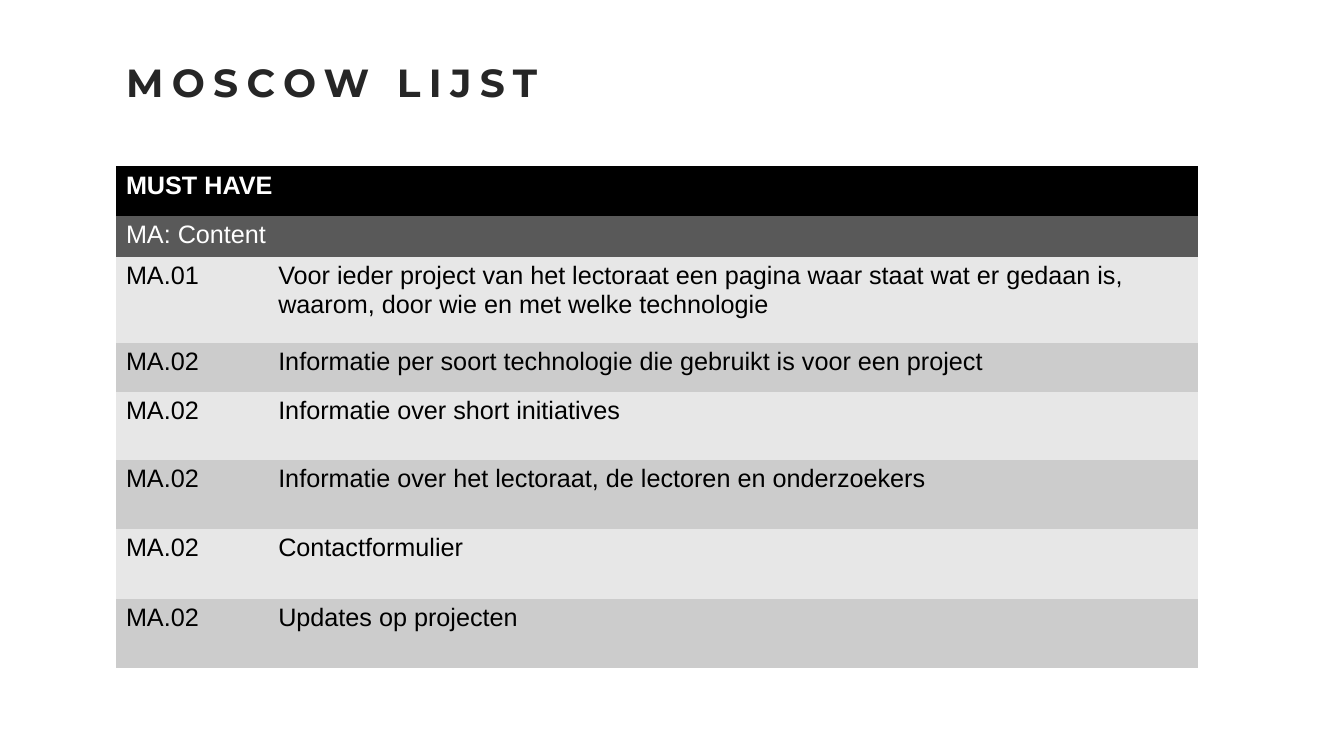
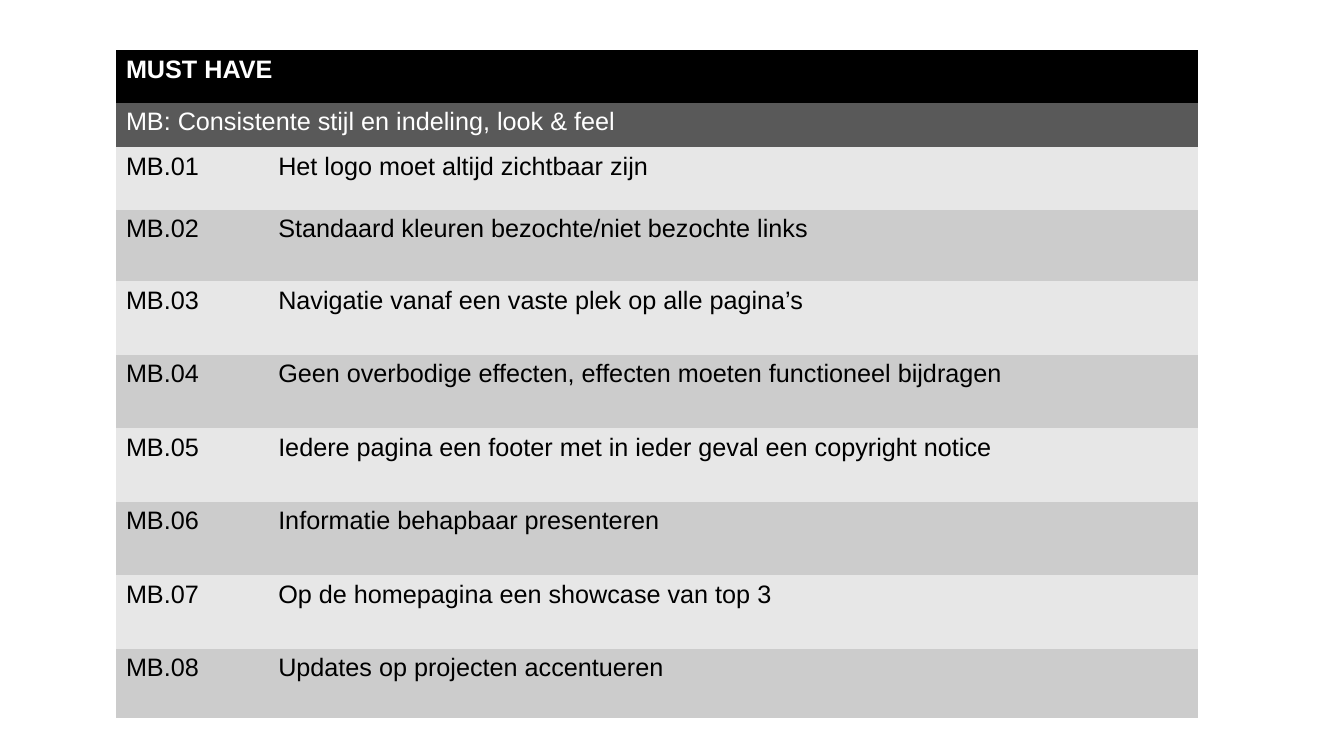
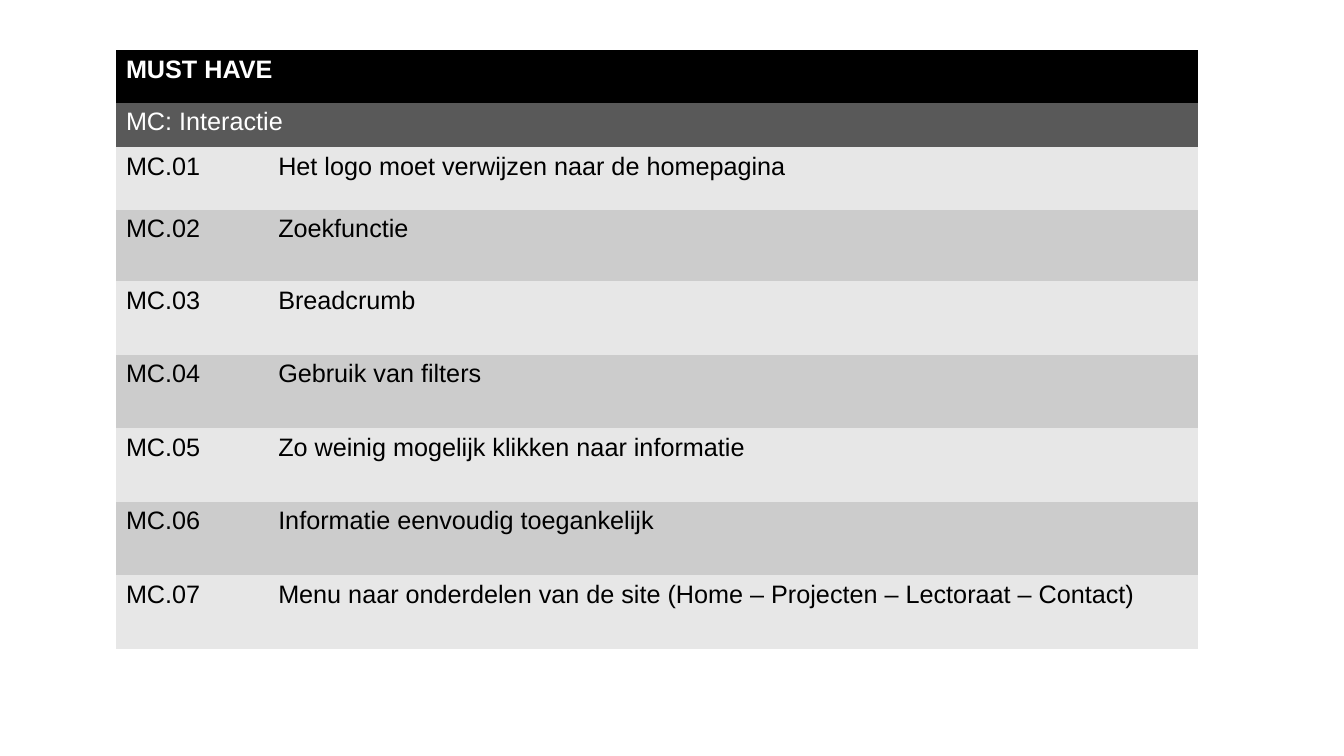
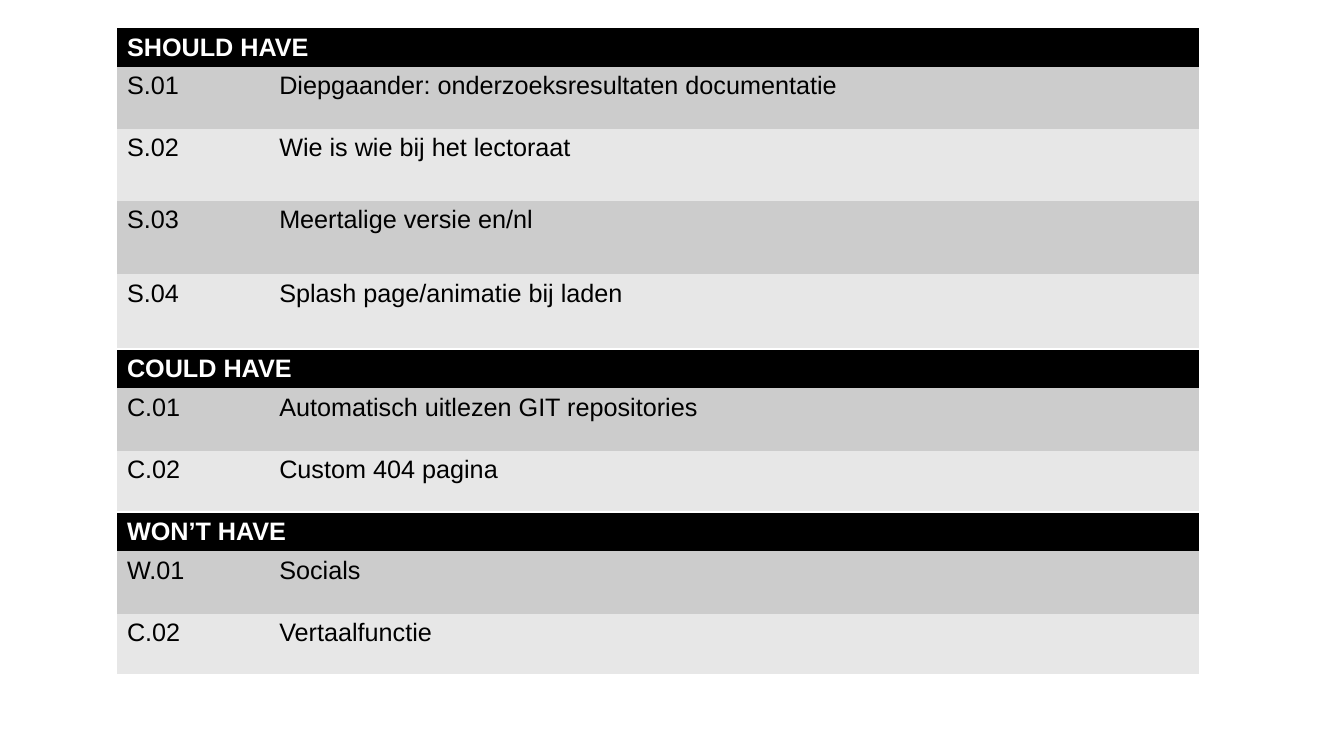
from dataclasses import dataclass

from pptx import Presentation
from pptx.dml.color import RGBColor
from pptx.enum.text import MSO_ANCHOR, MSO_AUTO_SIZE, PP_ALIGN
from pptx.oxml.ns import qn
from pptx.util import Inches, Pt

BLACK = RGBColor(0x00, 0x00, 0x00)
WHITE = RGBColor(0xFF, 0xFF, 0xFF)
TITLE_COLOR = RGBColor(0x26, 0x26, 0x26)
CATEGORY_FILL = RGBColor(0x59, 0x59, 0x59)
LIGHT_BAND = RGBColor(0xE7, 0xE7, 0xE7)
DARK_BAND = RGBColor(0xCC, 0xCC, 0xCC)

TITLE_FONT = "Montserrat"
BODY_FONT = "Arial"
BODY_SIZE = 18
PLAIN_TABLE_STYLE = "{2D5ABB26-0587-4C30-8999-92F81FD0307C}"
TITLE_ONLY, BLANK = 5, 6

CONTENT_LEFT = 1.15
CODE_WIDTH, TEXT_WIDTH = 1.51, 9.22
CONTENT_WIDTH = CODE_WIDTH + TEXT_WIDTH
TABLE_GAP = 0.02


@dataclass
class Priority:
    heading: str
    heights: list
    requirements: list
    category: str = ""


CONTENT = Priority(
    "MUST HAVE",
    [0.49, 0.41, 0.85, 0.49, 0.67, 0.69, 0.69, 0.69],
    [
        ("MA.01", "Voor ieder project van het lectoraat een pagina waar staat wat er gedaan is, "
                  "waarom, door wie en met welke technologie"),
        ("MA.02", "Informatie per soort technologie die gebruikt is voor een project"),
        ("MA.02", "Informatie over short initiatives"),
        ("MA.02", "Informatie over het lectoraat, de lectoren en onderzoekers"),
        ("MA.02", "Contactformulier"),
        ("MA.02", "Updates op projecten"),
    ],
    "MA: Content",
)
STYLE = Priority(
    "MUST HAVE",
    [0.52, 0.44, 0.62, 0.71] + [0.73] * 5 + [0.68],
    [
        ("MB.01", "Het logo moet altijd zichtbaar zijn"),
        ("MB.02", "Standaard kleuren bezochte/niet bezochte links"),
        ("MB.03", "Navigatie vanaf een vaste plek op alle pagina’s"),
        ("MB.04", "Geen overbodige effecten, effecten moeten functioneel bijdragen"),
        ("MB.05", "Iedere pagina een footer met in ieder geval een copyright notice"),
        ("MB.06", "Informatie behapbaar presenteren"),
        ("MB.07", "Op de homepagina een showcase van top 3"),
        ("MB.08", "Updates op projecten accentueren"),
    ],
    "MB: Consistente stijl en indeling, look & feel",
)
INTERACTION = Priority(
    "MUST HAVE",
    [0.52, 0.44, 0.62, 0.71] + [0.73] * 5,
    [
        ("MC.01", "Het logo moet verwijzen naar de homepagina"),
        ("MC.02", "Zoekfunctie"),
        ("MC.03", "Breadcrumb"),
        ("MC.04", "Gebruik van filters"),
        ("MC.05", "Zo weinig mogelijk klikken naar informatie"),
        ("MC.06", "Informatie eenvoudig toegankelijk"),
        ("MC.07", "Menu naar onderdelen van de site (Home – Projecten – Lectoraat – Contact)"),
    ],
    "MC: Interactie",
)
SHOULD_HAVE = Priority(
    "SHOULD HAVE",
    [0.38, 0.62, 0.71, 0.73, 0.73],
    [
        ("S.01", "Diepgaander: onderzoeksresultaten documentatie"),
        ("S.02", "Wie is wie bij het lectoraat"),
        ("S.03", "Meertalige versie en/nl"),
        ("S.04", "Splash page/animatie bij laden"),
    ],
)
COULD_HAVE = Priority(
    "COULD HAVE",
    [0.38, 0.62, 0.6],
    [
        ("C.01", "Automatisch uitlezen GIT repositories"),
        ("C.02", "Custom 404 pagina"),
    ],
)
WONT_HAVE = Priority(
    "WON’T HAVE",
    [0.38, 0.62, 0.6],
    [
        ("W.01", "Socials"),
        ("C.02", "Vertaalfunctie"),
    ],
)


def add_run(paragraph, text, font, size, color, bold=False):
    run = paragraph.add_run()
    run.text = text
    run.font.name = font
    run.font.size = Pt(size)
    run.font.color.rgb = color
    run.font.bold = bold


def add_title(slide, text, left, top, width, height):
    title = slide.shapes.title
    title.left, title.top = Inches(left), Inches(top)
    title.width, title.height = Inches(width), Inches(height)
    frame = title.text_frame
    frame.word_wrap = True
    frame.auto_size = MSO_AUTO_SIZE.NONE
    frame.vertical_anchor = MSO_ANCHOR.MIDDLE
    paragraph = frame.paragraphs[0]
    paragraph.alignment = PP_ALIGN.LEFT
    paragraph.line_spacing = 1.1
    add_run(paragraph, text, TITLE_FONT, 28, TITLE_COLOR, bold=True)
    for properties in title.element.iter(qn("a:rPr")):
        properties.set("spc", "600")


def fill_cell(cell, text, fill, color, bold=False):
    cell.fill.solid()
    cell.fill.fore_color.rgb = fill
    add_run(cell.text_frame.paragraphs[0], text, BODY_FONT, BODY_SIZE, color, bold)


def fill_banner(table, row, text, fill, bold=False):
    table.cell(row, 0).merge(table.cell(row, 1))
    fill_cell(table.cell(row, 0), text, fill, WHITE, bold)


def add_priority_table(slide, priority, left, top):
    height = sum(priority.heights)
    shape = slide.shapes.add_table(
        len(priority.heights), 2,
        Inches(left), Inches(top), Inches(CONTENT_WIDTH), Inches(height),
    )
    for style in shape.element.iter(qn("a:tableStyleId")):
        style.text = PLAIN_TABLE_STYLE
    table = shape.table
    table.first_row = table.horz_banding = False
    for column, width in zip(table.columns, (CODE_WIDTH, TEXT_WIDTH)):
        column.width = Inches(width)
    for row, row_height in zip(table.rows, priority.heights):
        row.height = Inches(row_height)

    fill_banner(table, 0, priority.heading, BLACK, bold=True)
    first = 1
    if priority.category:
        fill_banner(table, 1, priority.category, CATEGORY_FILL)
        first = 2
    for row, requirement in enumerate(priority.requirements, first):
        band = DARK_BAND if row % 2 else LIGHT_BAND
        for column, text in enumerate(requirement):
            fill_cell(table.cell(row, column), text, band, BLACK)
    return top + height


def add_priority_slide(presentation, priorities, top, left=CONTENT_LEFT, title=None):
    layout = presentation.slide_layouts[TITLE_ONLY if title else BLANK]
    slide = presentation.slides.add_slide(layout)
    if title:
        add_title(slide, title, left, 0.3, CONTENT_WIDTH, 0.98)
    for priority in priorities:
        top = add_priority_table(slide, priority, left, top) + TABLE_GAP


def main():
    presentation = Presentation()
    presentation.slide_width = Inches(13.33)
    presentation.slide_height = Inches(7.5)
    add_priority_slide(presentation, [CONTENT], 1.65, title="MOSCOW LIJST")
    add_priority_slide(presentation, [STYLE], 0.5)
    add_priority_slide(presentation, [INTERACTION], 0.5)
    add_priority_slide(presentation, [SHOULD_HAVE, COULD_HAVE, WONT_HAVE], 0.28, left=1.16)
    presentation.save("out.pptx")


if __name__ == "__main__":
    main()
